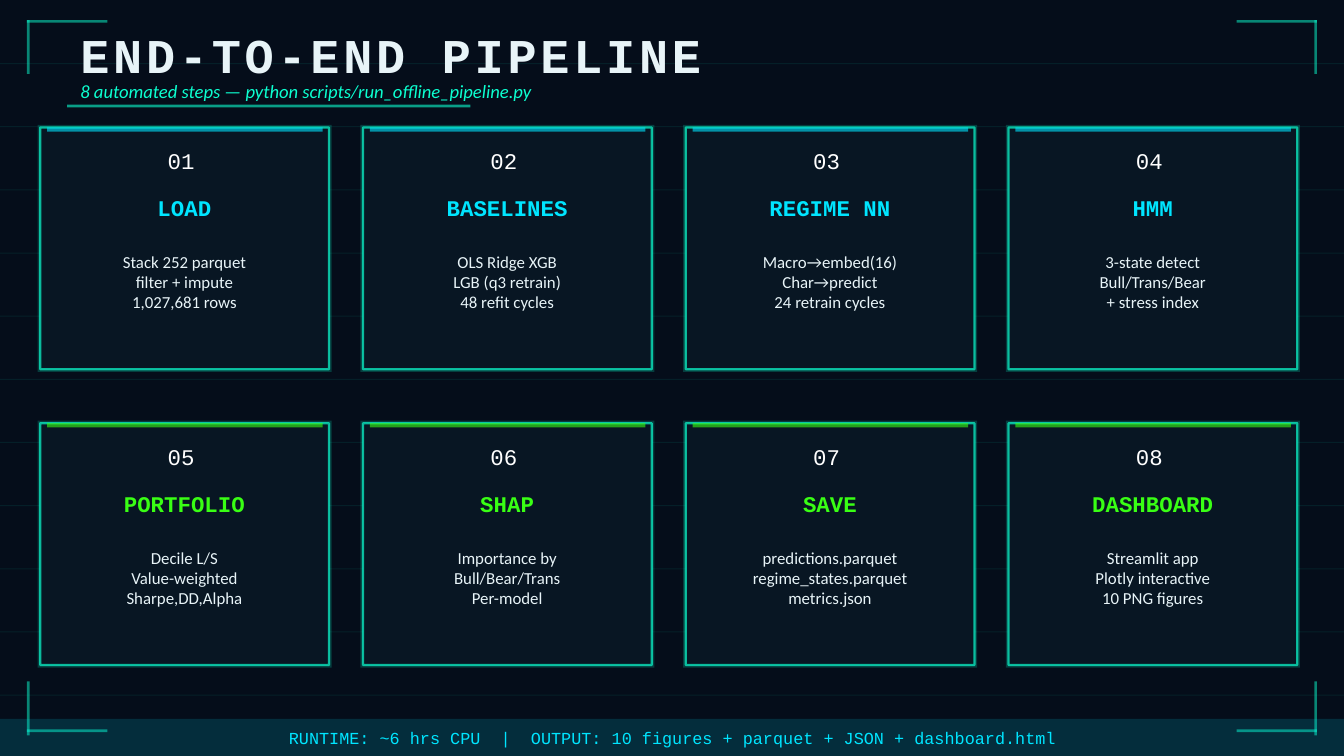
from dataclasses import dataclass

from lxml.etree import SubElement
from pptx import Presentation
from pptx.dml.color import RGBColor as Rgb
from pptx.enum.shapes import MSO_SHAPE as Shape
from pptx.enum.text import MSO_ANCHOR as Anchor, PP_ALIGN as Align
from pptx.oxml.ns import qn
from pptx.util import Cm, Pt

# Content
TITLE = "END-TO-END PIPELINE"
SUBTITLE = "8 automated steps — python scripts/run_offline_pipeline.py"
FOOTER = "RUNTIME: ~6 hrs CPU  |  OUTPUT: 10 figures + parquet + JSON + dashboard.html"
STEPS = [
    ("LOAD", ["Stack 252 parquet", "filter + impute", "1,027,681 rows"]),
    ("BASELINES", ["OLS Ridge XGB", "LGB (q3 retrain)", "48 refit cycles"]),
    ("REGIME NN", ["Macro→embed(16)", "Char→predict", "24 retrain cycles"]),
    ("HMM", ["3-state detect", "Bull/Trans/Bear", "+ stress index"]),
    ("PORTFOLIO", ["Decile L/S", "Value-weighted", "Sharpe,DD,Alpha"]),
    ("SHAP", ["Importance by", "Bull/Bear/Trans", "Per-model"]),
    ("SAVE", ["predictions.parquet", "regime_states.parquet", "metrics.json"]),
    ("DASHBOARD", ["Streamlit app", "Plotly interactive", "10 PNG figures"]),
]


@dataclass(frozen=True)
class Theme:
    background: str = "050D1A"
    panel: str = "091422"
    teal: str = "0CFFD0"
    cyan: str = "00E5FF"
    green: str = "39FF14"
    pale: str = "E8F4F8"
    white: str = "FFFFFF"
    mono: str = "Courier New"
    sans: str = "Calibri"
    title_size: int = 26
    heading_size: int = 12
    subtitle_size: int = 10
    body_size: int = 9


theme = Theme()

# Layout, in centimetres
WIDTH, HEIGHT = 25.4, 14.29
COLUMNS = 4
CARD_LEFT, CARD_TOP, CARD_WIDTH, CARD_HEIGHT = 0.76, 2.41, 5.46, 4.57
STEP_X, STEP_Y = 6.1, 5.59
GLOW = 0.05
GRID_LINES, GRID_END = 11, 13.13
STROKE, ARM_X, ARM_Y = 0.05, 1.52, 1.02

deck = Presentation()
deck.slide_width, deck.slide_height = Cm(WIDTH), Cm(HEIGHT)
page = deck.slides.add_slide(deck.slide_layouts[6])
page.background.fill.solid()
page.background.fill.fore_color.rgb = Rgb.from_string(theme.background)


def paint(fill, color, opacity):
    """Give a fill a solid colour with an opacity in percent."""
    fill.solid()
    fill.fore_color.rgb = Rgb.from_string(color)
    # The public fill object has no opacity setting
    color_node = fill._xPr.find(qn("a:solidFill"))[0]
    SubElement(color_node, qn("a:alpha"), val=str(opacity * 1000))


def add_bar(left, top, width, height, color, opacity):
    box = page.shapes.add_shape(
        Shape.RECTANGLE, Cm(left), Cm(top), Cm(width), Cm(height))
    box.shadow.inherit = False
    paint(box.fill, color, opacity)
    box.line.fill.background()
    return box


def add_text(left, top, width, height, lines, size, font, color,
             align=Align.CENTER, bold=False, italic=False, spacing=0):
    box = page.shapes.add_textbox(Cm(left), Cm(top), Cm(width), Cm(height))
    frame = box.text_frame
    frame.word_wrap = True
    frame.vertical_anchor = Anchor.MIDDLE
    for index, line in enumerate(lines):
        para = frame.add_paragraph() if index else frame.paragraphs[0]
        para.alignment = align
        span = para.add_run()
        span.text = line
        span.font.size, span.font.name = Pt(size), font
        span.font.bold, span.font.italic = bold, italic
        span.font.color.rgb = Rgb.from_string(color)
        if spacing:
            span.font._element.set("spc", str(spacing * 100))


def add_card(index, heading, lines):
    row, column = divmod(index, COLUMNS)
    left, top = CARD_LEFT + column * STEP_X, CARD_TOP + row * STEP_Y
    accent = theme.green if row else theme.cyan
    # Glow, panel and accent strip
    add_bar(left - GLOW, top - GLOW, CARD_WIDTH + 2 * GLOW,
            CARD_HEIGHT + 2 * GLOW, theme.teal, 20)
    panel = add_bar(left, top, CARD_WIDTH, CARD_HEIGHT, theme.panel, 95)
    panel.line.width = Pt(1.2)
    paint(panel.line.fill, theme.teal, 70)
    add_bar(left + 0.13, top, 5.21, 0.08, accent, 60)
    # Number, heading and details
    add_text(left + 2.16, top + 0.25, 1.02, 0.76, [f"{index + 1:02}"],
             theme.heading_size, theme.mono, theme.white, Align.LEFT)
    add_text(left + 0.25, top + 1.14, 4.95, 0.76, [heading],
             theme.heading_size, theme.mono, accent, bold=True)
    add_text(left + 0.25, top + 2.03, 4.95, 1.78, lines,
             theme.body_size, theme.sans, theme.pale)


# Faint grid lines
for number in range(1, GRID_LINES + 1):
    add_bar(0, number * GRID_END / GRID_LINES, WIDTH, 0.02, theme.teal, 8)

# Corner brackets
for arm_top, post_top in ((0.38, 0.38), (13.79, 12.88)):
    for arm_left, post_left in ((0.51, 0.51), (23.37, 24.84)):
        add_bar(arm_left, arm_top, ARM_X, STROKE, theme.teal, 50)
        add_bar(post_left, post_top, STROKE, ARM_Y, theme.teal, 50)

# Title block
add_text(1.27, 0.46, 22.86, 1.14, [TITLE], theme.title_size, theme.mono,
         theme.pale, Align.LEFT, bold=True, spacing=2)
add_text(1.27, 1.4, 22.86, 0.64, [SUBTITLE], theme.subtitle_size, theme.sans,
         theme.teal, Align.LEFT, italic=True)
add_bar(1.27, 1.98, 7.62, STROKE, theme.teal, 60)

# Step cards
for position, (name, details) in enumerate(STEPS):
    add_card(position, name, details)

# Footer strip
add_bar(0, 13.59, WIDTH, 0.7, theme.cyan, 15)
add_text(0.76, 13.59, 23.88, 0.7, [FOOTER], theme.body_size, theme.mono,
         theme.cyan)

deck.save("out.pptx")
